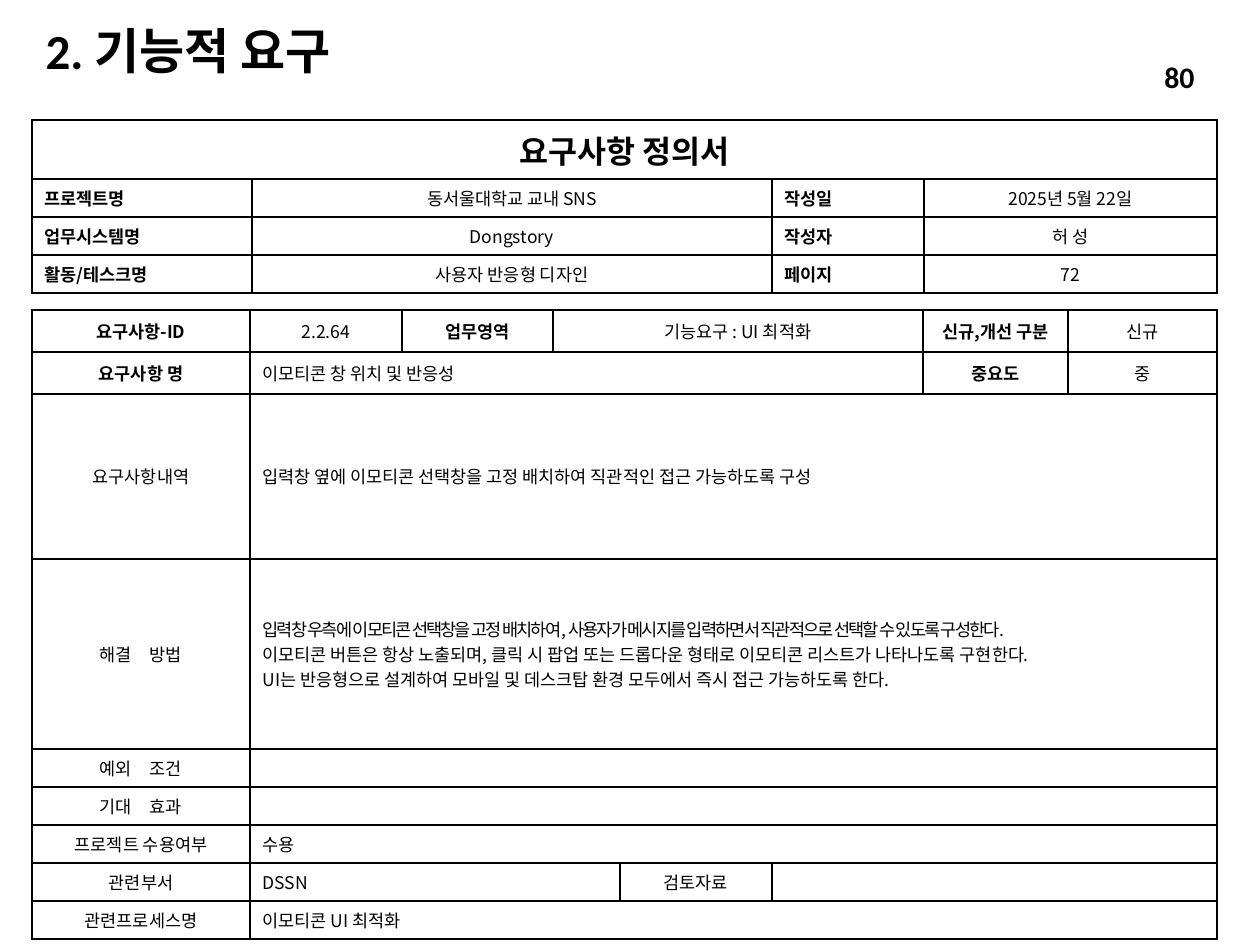
from lxml.etree import SubElement
from pptx import Presentation
from pptx.dml.color import RGBColor
from pptx.enum.text import MSO_ANCHOR, MSO_AUTO_SIZE, PP_ALIGN
from pptx.oxml.ns import qn
from pptx.util import Emu, Pt

BLACK = RGBColor(0x00, 0x00, 0x00)
KOREAN, LATIN = "Noto Sans CJK KR", "Calibri"
NO_STYLE = "{2D5ABB26-0587-4C30-8999-92F81FD0307C}"
THIN, THICK = Pt(1), Pt(1.5)
LEFT, CENTER, JUSTIFY = PP_ALIGN.LEFT, PP_ALIGN.CENTER, PP_ALIGN.JUSTIFY
DETAIL = "입력창 옆에 이모티콘 선택창을 고정 배치하여 직관적인 접근 가능하도록 구성"
SOLUTION = (
    "입력창 우측에 이모티콘 선택창을 고정 배치하여, 사용자가 메시지를 입력하면서 직관적으로 선택할 수 있도록 구성한다.\n"
    "이모티콘 버튼은 항상 노출되며, 클릭 시 팝업 또는 드롭다운 형태로 이모티콘 리스트가 나타나도록 구현한다.\n"
    "UI는 반응형으로 설계하여 모바일 및 데스크탑 환경 모두에서 즉시 접근 가능하도록 한다."
)


def px(n):
    """Turn whole pixels into EMU."""
    return Emu(round(n * 914400 / 126))


def style_run(r, size, bold=False, font=KOREAN, spacing=0):
    """Set size, weight, fonts and letter spacing in points."""
    r.font.size, r.font.bold, r.font.name = Pt(size), bold, font
    r.font.color.rgb = BLACK
    rpr = r.font._element
    SubElement(rpr, qn("a:ea")).set("typeface", KOREAN)
    if spacing:
        rpr.set("spc", str(spacing * 100))


def style_text(tf, align, size, bold=False, font=KOREAN):
    """Format every paragraph of a text frame, empty ones included."""
    for p in tf.paragraphs:
        p.alignment = align
        for r in p.runs:
            style_run(r, size, bold, font)
        if not p.runs:
            SubElement(p._p, qn("a:endParaRPr"), sz=str(size * 100))


def add_border(cell, side, width):
    """Draw one solid edge of a cell."""
    ln = SubElement(cell._tc.get_or_add_tcPr(), qn(f"a:ln{side}"), w=str(width))
    fill = SubElement(ln, qn("a:solidFill"))
    SubElement(fill, qn("a:srgbClr"), val=str(BLACK))


def fill_cell(table, row, col, span, heavy_rows):
    """Merge a cell across its span, draw its edges and return it."""
    last_row, last_col = len(table.rows) - 1, len(table.columns) - 1
    end = col + span - 1
    top = THICK if row == 0 or row - 1 in heavy_rows else THIN
    bottom = THICK if row == last_row or row in heavy_rows else THIN
    for c in range(col, end + 1):
        cell = table.cell(row, c)
        if c == col:
            add_border(cell, "L", THIN if c else THICK)
        if c in (col, end):
            add_border(cell, "R", THICK if end == last_col else THIN)
        add_border(cell, "T", top)
        add_border(cell, "B", bottom)
        cell.fill.background()
    cell = table.cell(row, col)
    if span > 1:
        cell.merge(table.cell(row, end))
    cell.vertical_anchor = MSO_ANCHOR.MIDDLE
    return cell


def add_form(s, left, top, widths, heights, rows, heavy_rows=()):
    """Add a ruled form from rows of (text, span, alignment, bold, size)."""
    frame = s.shapes.add_table(len(heights), len(widths), px(left), px(top),
                               px(sum(widths)), px(sum(heights)))
    table = frame.table
    table.first_row = table.horz_banding = False
    table._tbl.tblPr.find(qn("a:tableStyleId")).text = NO_STYLE
    for column, width in zip(table.columns, widths):
        column.width = px(width)
    for line, height in zip(table.rows, heights):
        line.height = px(height)
    for row, entries in enumerate(rows):
        col = 0
        for text, span, align, bold, size in entries:
            cell = fill_cell(table, row, col, span, heavy_rows)
            cell.text_frame.text = text
            style_text(cell.text_frame, align, size, bold)
            col += span
    return table


def entry(text, span=1, align=CENTER, bold=False, size=10):
    """Describe one form cell."""
    return text, span, align, bold, size


def head(text, align=CENTER):
    """Describe a bold label cell."""
    return entry(text, 1, align, True)


def body(text, span=7):
    """Describe a left-aligned content cell."""
    return entry(text, span, LEFT)


def spread_label(cell, words):
    """Write two words with a widened space between them."""
    p = cell.text_frame.paragraphs[0]
    for text, spacing in ((words[0], 0), (" ", 8), (words[1], 0)):
        r = p.add_run()
        r.text = text
        style_run(r, 10, spacing=spacing)


def add_heading(s):
    """Place the slide title and the page number."""
    title = s.shapes.title
    title.left, title.top, title.width, title.height = px(33), px(26), px(675), px(55)
    number = s.shapes.add_textbox(px(1003), px(52), px(204), px(50))
    for sp, text, size, align in ((title, "2. 기능적 요구", 28, LEFT),
                                  (number, "80", 17, PP_ALIGN.RIGHT)):
        tf = sp.text_frame
        tf.text = text
        tf.word_wrap, tf.auto_size = True, MSO_AUTO_SIZE.NONE
        tf.vertical_anchor = MSO_ANCHOR.MIDDLE
        style_text(tf, align, size, True, LATIN)
    title.text_frame.paragraphs[0].line_spacing = 0.9


def add_requirement(s):
    """Add the requirement form."""
    rows = [
        [head("요구사항-ID"), entry("2.2.64"), head("업무영역"),
         entry("기능요구 : UI 최적화", 3), head("신규,개선 구분"), entry("신규")],
        [head("요구사항 명"), body("이모티콘 창 위치 및 반응성", 5), head("중요도"), entry("중")],
        [entry("요구사항내역"), body(DETAIL)],
        [entry(""), body(SOLUTION)],
        [entry(""), body("")],
        [entry(""), body("")],
        [entry("프로젝트 수용여부"), body("수용")],
        [entry("관련부서"), body("DSSN", 3), entry("검토자료"), body("", 3)],
        [entry("관련프로세스명"), body("이모티콘 UI 최적화")],
    ]
    table = add_form(s, 32, 310, [218, 152, 151, 67, 152, 151, 145, 149],
                     [42, 42, 165, 190] + [38] * 5, rows, heavy_rows=(0, 1))
    for row, words in enumerate((("해결", "방법"), ("예외", "조건"), ("기대", "효과")), 3):
        spread_label(table.cell(row, 0), words)
    table.cell(2, 1).text_frame.paragraphs[0].runs[0].font.name = LATIN
    first = table.cell(3, 1).text_frame.paragraphs[0].runs[0]
    first.font._element.set("spc", "-100")


def add_summary(s):
    """Add the project summary form."""
    facts = [
        ("프로젝트명", "동서울대학교 교내 SNS", "작성일", "2025년 5월 22일"),
        ("업무시스템명", "Dongstory", "작성자", "허 성"),
        ("활동/테스크명", "사용자 반응형 디자인", "페이지", "72"),
    ]
    rows = [[entry("요구사항 정의서", 4, CENTER, True, 18)]]
    rows += [[head(a, JUSTIFY), entry(b), head(c, JUSTIFY), entry(d)] for a, b, c, d in facts]
    add_form(s, 32, 120, [220, 520, 152, 293], [59, 38, 38, 38], rows)


def main():
    """Build the slide and save it."""
    prs = Presentation()
    prs.slide_width, prs.slide_height = px(1260), px(945)
    s = prs.slides.add_slide(prs.slide_layouts[5])
    add_heading(s)
    add_requirement(s)
    add_summary(s)
    prs.save("out.pptx")


if __name__ == "__main__":
    main()
